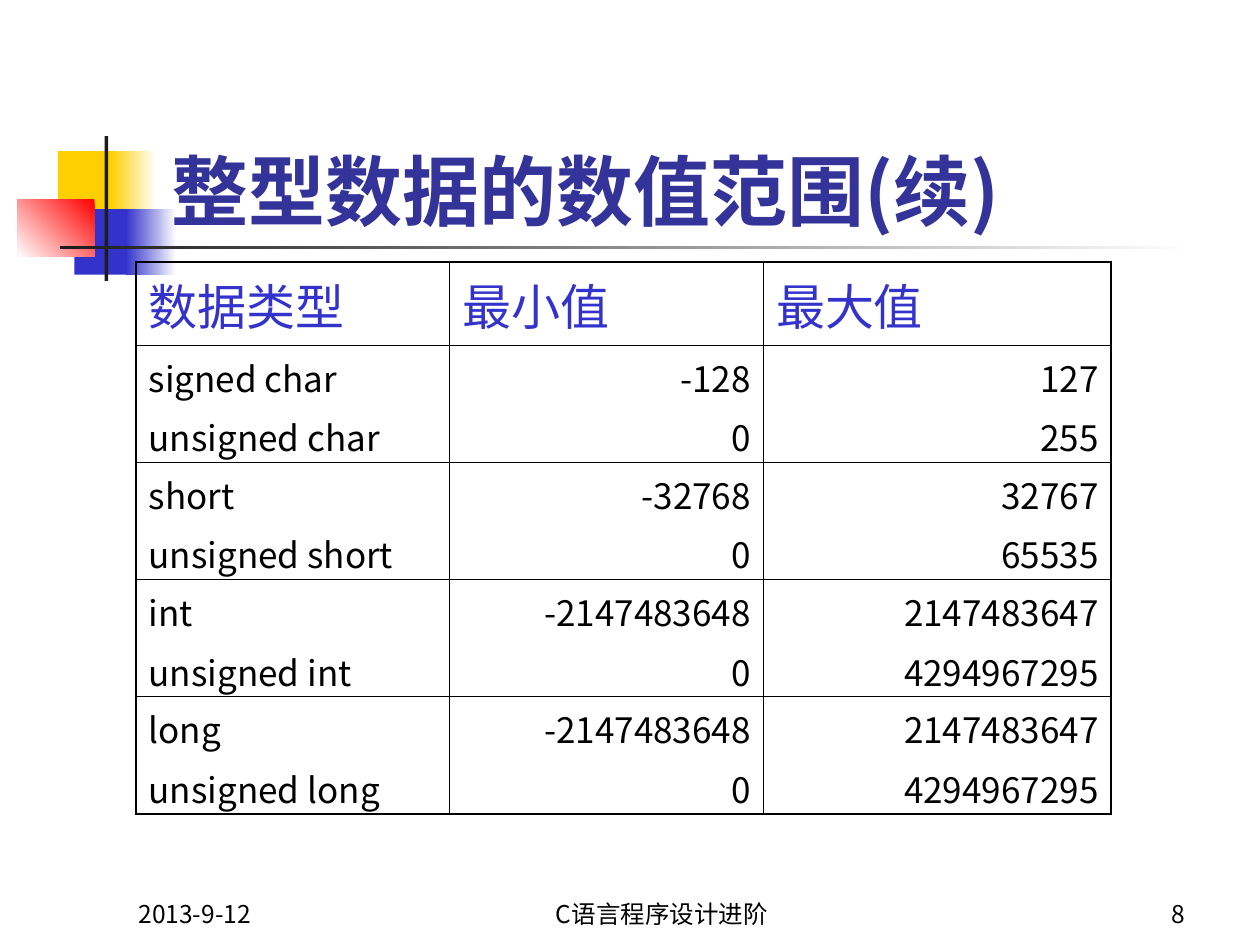
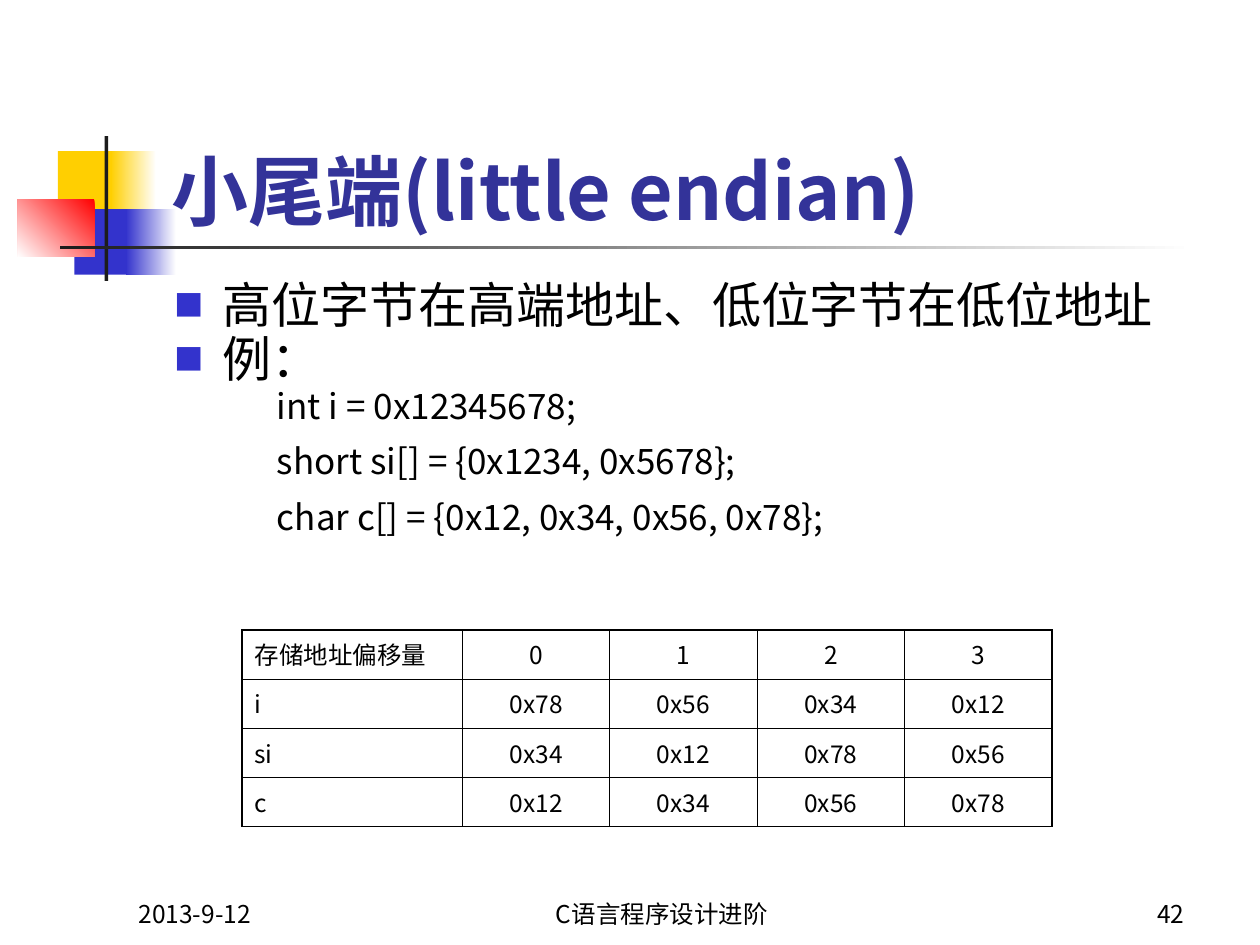
from dataclasses import dataclass

from lxml import etree
from pptx import Presentation
from pptx.dml.color import RGBColor
from pptx.enum.shapes import MSO_SHAPE
from pptx.enum.text import MSO_ANCHOR, PP_ALIGN
from pptx.oxml.ns import qn
from pptx.util import Inches, Pt

RECT = MSO_SHAPE.RECTANGLE
LEFT, CENTER, RIGHT, JUSTIFY = PP_ALIGN.LEFT, PP_ALIGN.CENTER, PP_ALIGN.RIGHT, PP_ALIGN.JUSTIFY
TOP, BOTTOM = MSO_ANCHOR.TOP, MSO_ANCHOR.BOTTOM


@dataclass(frozen=True)
class Theme:
    font: str = "Noto Sans CJK SC"
    black: str = "000000"
    white: str = "FFFFFF"
    title: str = "333399"
    blue: str = "3333CC"
    yellow: str = "FFCF01"
    red: str = "FF0000"
    dark: str = "1C1C1C"
    title_size: int = 44
    body_size: int = 28
    code_size: int = 20
    small_size: int = 14
    outer_line: float = 1.08
    inner_line: float = 0.45


THEME = Theme()


def child(parent, tag, **attributes):
    return etree.SubElement(parent, qn(tag), attributes)


def add_bullet(paragraph):
    """Square bullet; call after the paragraph spacing is set."""
    props = paragraph._p.get_or_add_pPr()
    child(child(props, "a:buClr"), "a:srgbClr", val=THEME.blue)
    child(props, "a:buSzPct", val="60000")
    child(props, "a:buFont", typeface=THEME.font)
    child(props, "a:buChar", char="■")


def write(frame, text, size=THEME.small_size, color=THEME.black, bold=False,
          align=LEFT, before=0, spacing=None, margin=0, indent=0, bullet=False):
    """Append each line of text to the frame as a paragraph."""
    for line in text.split("\n"):
        paragraph = frame.paragraphs[-1]
        if paragraph.runs:
            paragraph = frame.add_paragraph()
        paragraph.alignment = align
        paragraph.space_before = Pt(before)
        if spacing:
            paragraph.line_spacing = spacing
        props = paragraph._p.get_or_add_pPr()
        props.set("marL", str(Inches(margin)))
        props.set("indent", str(Inches(indent)))
        if bullet:
            add_bullet(paragraph)
        run = paragraph.add_run()
        run.text = line
        run.font.size = Pt(size)
        run.font.bold = bold
        run.font.name = THEME.font
        run.font.color.rgb = RGBColor.from_string(color)
        child(run._r.get_or_add_rPr(), "a:ea", typeface=THEME.font)


def set_borders(cell, widths):
    """Widths in points for the left, right, top and bottom edges."""
    props = cell._tc.get_or_add_tcPr()
    for place, (side, width) in enumerate(zip("LRTB", widths)):
        line = child(props, f"a:ln{side}", w=str(Pt(width)))
        child(child(line, "a:solidFill"), "a:srgbClr", val=THEME.black)
        props.insert(place, line)


class Deck:
    def __init__(self):
        self.presentation = Presentation()
        self.presentation.slide_width = Inches(10)
        self.presentation.slide_height = Inches(7.5)
        self.slide = None

    def new_slide(self, title, number):
        self.slide = self.presentation.slides.add_slide(self.presentation.slide_layouts[6])
        self.ornament()
        heading = self.frame(1.26, 0.67, 8.52, 1.25, BOTTOM)
        write(heading, title, size=THEME.title_size, color=THEME.title, bold=True)
        self.footer(number)

    def rect(self, left, top, width, height, color, fade_to=None, angle=180):
        shape = self.slide.shapes.add_shape(
            RECT, Inches(left), Inches(top), Inches(width), Inches(height))
        shape.shadow.inherit = False
        shape.line.fill.background()
        if fade_to:
            shape.fill.gradient()
            shape.fill.gradient_angle = angle
            for stop, value in zip(shape.fill.gradient_stops, (color, fade_to)):
                stop.color.rgb = RGBColor.from_string(value)
        else:
            shape.fill.solid()
            shape.fill.fore_color.rgb = RGBColor.from_string(color)

    def frame(self, left, top, width, height, anchor=TOP):
        box = self.slide.shapes.add_textbox(
            Inches(left), Inches(top), Inches(width), Inches(height))
        box.text_frame.word_wrap = True
        box.text_frame.vertical_anchor = anchor
        return box.text_frame

    def ornament(self):
        self.rect(0.46, 1.2, 0.48, 0.52, THEME.yellow)
        self.rect(0.88, 1.2, 0.36, 0.52, THEME.white, THEME.yellow)
        self.rect(0.59, 1.66, 0.46, 0.52, THEME.blue)
        self.rect(1, 1.66, 0.4, 0.52, THEME.white, THEME.blue)
        self.rect(0.14, 1.58, 0.61, 0.46, THEME.red, THEME.white, angle=225)
        self.rect(0.83, 1.08, 0.03, 1.15, THEME.dark)
        self.rect(0.48, 1.95, 9, 0.03, THEME.white, THEME.dark)

    def footer(self, number):
        for left, width, text, align in ((1, 2.08, "2013-9-12", LEFT),
                                         (3.67, 3.17, "C语言程序设计进阶", CENTER),
                                         (7.42, 2.08, str(number), RIGHT)):
            write(self.frame(left, 6.92, width, 0.5, BOTTOM), text, align=align)

    def table(self, left, top, columns, heights, rows, formats):
        """formats(row, column) gives the text format of a cell."""
        last_row, last_column = len(heights) - 1, len(columns) - 1
        table = self.slide.shapes.add_table(
            len(heights), len(columns), Inches(left), Inches(top),
            Inches(sum(columns)), Inches(sum(heights))).table
        table.first_row = table.horz_banding = False
        for column, width in zip(table.columns, columns):
            column.width = Inches(width)
        for r, (values, height) in enumerate(zip(rows, heights)):
            table.rows[r].height = Inches(height)
            for c, value in enumerate(values):
                cell = table.cell(r, c)
                cell.fill.background()
                edges = (c == 0, c == last_column, r == 0, r == last_row)
                set_borders(cell, [THEME.outer_line if edge else THEME.inner_line
                                   for edge in edges])
                write(cell.text_frame, value, **formats(r, c))


def range_format(row, column):
    if row == 0:
        return dict(size=THEME.body_size, color=THEME.blue, before=7)
    return dict(size=THEME.code_size, before=5, align=RIGHT if column else JUSTIFY)


def offset_format(row, column):
    return dict(before=3.5, align=CENTER if column else LEFT)


def integer_ranges(deck):
    deck.new_slide("整型数据的数值范围(续)", 8)
    long_range = ("-2147483648\n0", "2147483647\n4294967295")
    rows = [
        ("数据类型", "最小值", "最大值"),
        ("signed char\nunsigned char", "-128\n0", "127\n255"),
        ("short\nunsigned short", "-32768\n0", "32767\n65535"),
        ("int\nunsigned int", *long_range),
        ("long\nunsigned long", *long_range),
    ]
    deck.table(1.08, 2.08, [2.49, 2.49, 2.76], [0.66] + [0.93] * 4, rows, range_format)


def little_endian(deck):
    deck.new_slide("小尾端(little endian)", 42)

    # Rule and example declarations
    body = deck.frame(1.29, 2.21, 8.5, 4.5)
    write(body, "高位字节在高端地址、低位字节在低位地址\n例：", size=THEME.body_size,
          before=2.8, spacing=0.83, margin=0.38, indent=-0.38, bullet=True)
    for declaration, before in (("int i = 0x12345678;", 2.8),
                                ("short si[] = {0x1234, 0x5678};", 11),
                                ("char c[] = {0x12, 0x34, 0x56, 0x78};", 12.5)):
        write(body, declaration, size=THEME.code_size, before=before,
              spacing=0.83, margin=0.81)

    # Bytes at each address offset
    rows = [
        ("存储地址偏移量", "0", "1", "2", "3"),
        ("i", "0x78", "0x56", "0x34", "0x12"),
        ("si", "0x34", "0x12", "0x78", "0x56"),
        ("c", "0x12", "0x34", "0x56", "0x78"),
    ]
    deck.table(1.92, 5, [1.75] + [1.17] * 4, [0.39] * 4, rows, offset_format)


def main():
    deck = Deck()
    integer_ranges(deck)
    little_endian(deck)
    deck.presentation.save("out.pptx")


if __name__ == "__main__":
    main()
